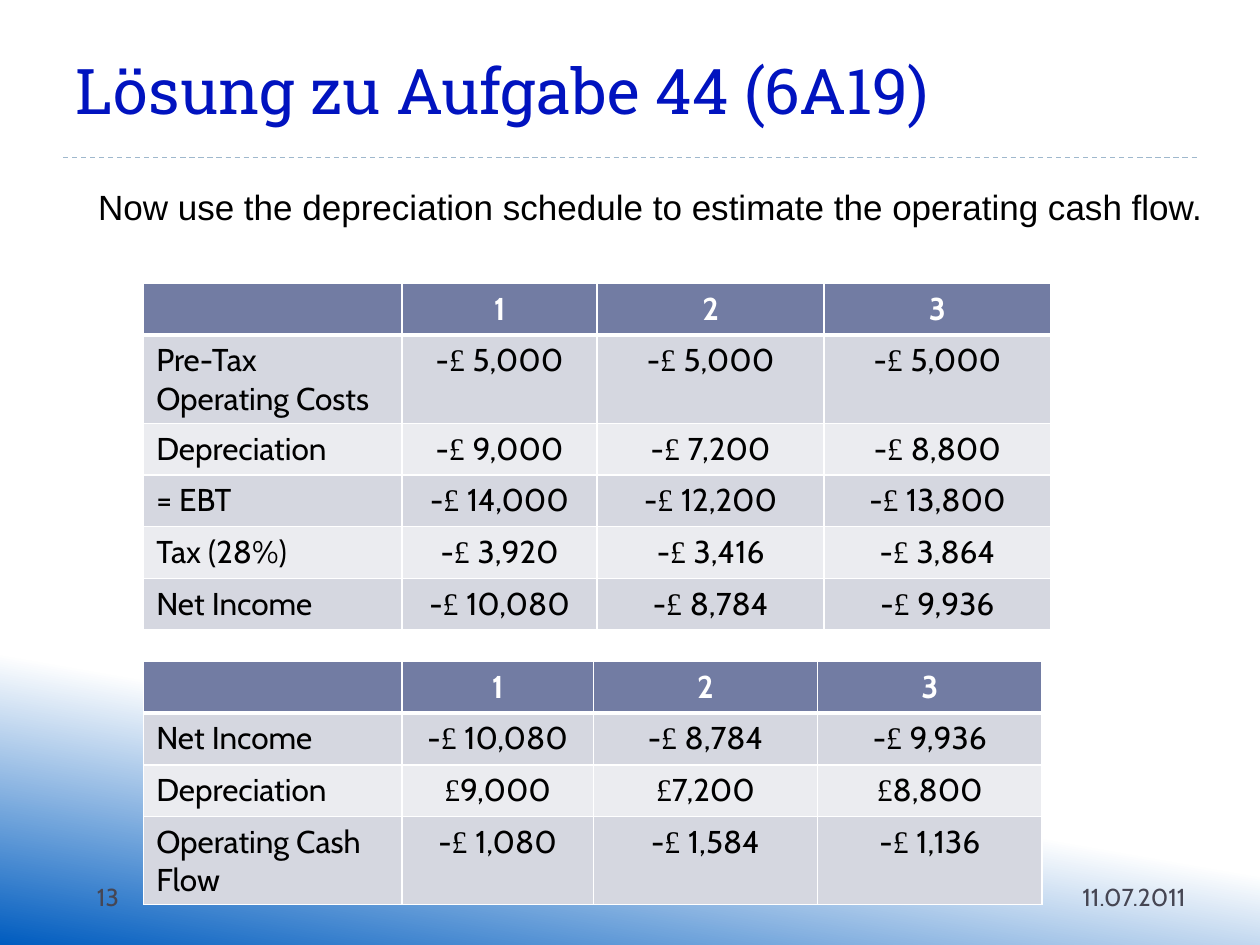
from dataclasses import dataclass

from lxml.etree import SubElement
from pptx import Presentation
from pptx.dml.color import RGBColor
from pptx.enum.dml import MSO_LINE
from pptx.enum.shapes import MSO_CONNECTOR
from pptx.enum.text import MSO_ANCHOR, MSO_AUTO_SIZE, PP_ALIGN
from pptx.oxml.ns import qn
from pptx.util import Inches, Pt


@dataclass(frozen=True)
class Theme:
    title: str = "0113BF"
    ink: str = "000000"
    muted: str = "464653"
    white: str = "FFFFFF"
    glow: str = "005CBF"
    rule: str = "9FB8CD"
    header: str = "727CA3"
    bands: tuple = ("D5D7E0", "EBECF0")
    title_font: str = "Roboto Slab"
    body_font: str = "Cabin"
    lead_font: str = "Arial"
    pound_font: str = "Times New Roman"
    title_size: int = 36
    lead_size: int = 20
    table_size: int = 18
    footer_size: int = 14


class SlideBuilder:
    """Draws styled elements on one slide."""

    def __init__(self, slide, theme):
        self.slide = slide
        self.theme = theme

    def style(self, font, name, size, color, bold=False):
        font.name, font.size, font.bold = name, Pt(size), bold
        font.color.rgb = RGBColor.from_string(color)

    def background(self):
        fill = self.slide.background.fill
        fill.gradient()
        fill.gradient_angle = 260
        stops = ((0.75, self.theme.white), (1, self.theme.glow))
        for stop, (position, color) in zip(fill.gradient_stops, stops):
            stop.position = position
            stop.color.rgb = RGBColor.from_string(color)

    def rule(self, left, right, top):
        line = self.slide.shapes.add_connector(
            MSO_CONNECTOR.STRAIGHT, Inches(left), Inches(top), Inches(right), Inches(top))
        line.line.color.rgb = RGBColor.from_string(self.theme.rule)
        line.line.width = Pt(0.75)
        line.line.dash_style = MSO_LINE.DASH
        SubElement(line._element.spPr, qn("a:effectLst"))

    def title(self, text, left, top, width, height):
        title = self.slide.shapes.title
        title.left, title.top = Inches(left), Inches(top)
        title.width, title.height = Inches(width), Inches(height)
        title.text_frame.text = text
        title.text_frame.vertical_anchor = MSO_ANCHOR.MIDDLE
        paragraph = title.text_frame.paragraphs[0]
        paragraph.alignment = PP_ALIGN.LEFT
        self.style(paragraph.font, self.theme.title_font, self.theme.title_size, self.theme.title)

    def text(self, text, left, top, width, height, font, size, color,
             align=PP_ALIGN.LEFT, wrap=True):
        box = self.slide.shapes.add_textbox(
            Inches(left), Inches(top), Inches(width), Inches(height))
        frame = box.text_frame
        frame.text = text
        frame.word_wrap = wrap
        if not wrap:
            frame.auto_size = MSO_AUTO_SIZE.SHAPE_TO_FIT_TEXT
            frame.vertical_anchor = MSO_ANCHOR.MIDDLE
        paragraph = frame.paragraphs[0]
        paragraph.alignment = align
        self.style(paragraph.font, font, size, color)

    def footer(self, text, left, width, align):
        self.text(text, left, 6.95, width, 0.4, self.theme.body_font,
                  self.theme.footer_size, self.theme.muted, align)

    def borders(self, cell, bottom):
        properties = cell._tc.get_or_add_tcPr()
        widths = {"a:lnL": 1, "a:lnR": 1, "a:lnT": 1, "a:lnB": bottom}
        for index, (tag, width) in enumerate(widths.items()):
            line = properties.makeelement(qn(tag), {"w": str(Pt(width))})
            properties.insert(index, line)
            solid = SubElement(line, qn("a:solidFill"))
            SubElement(solid, qn("a:srgbClr"), val=self.theme.white)

    def amount(self, paragraph, text):
        sign, pound, number = text.partition("£")
        digits = number.lstrip()
        pound += number[:len(number) - len(digits)]
        parts = ((sign, self.theme.body_font), (pound, self.theme.pound_font),
                 (digits, self.theme.body_font))
        for part, font in parts:
            if part:
                run = paragraph.add_run()
                run.text = part
                run.font.name = font

    def cell(self, cell, text, row, column):
        theme = self.theme
        is_header = row == 0
        fill = theme.header if is_header else theme.bands[(row - 1) % 2]
        cell.fill.solid()
        cell.fill.fore_color.rgb = RGBColor.from_string(fill)
        self.borders(cell, 3 if is_header else 1)
        paragraph = cell.text_frame.paragraphs[0]
        paragraph.alignment = PP_ALIGN.CENTER if column else PP_ALIGN.LEFT
        self.style(paragraph.font, theme.body_font, theme.table_size,
                   theme.white if is_header else theme.ink, is_header)
        if "£" in text:
            self.amount(paragraph, text)
        elif text:
            paragraph.add_run().text = text

    def table(self, rows, left, top, widths, row_height=0.41):
        table = self.slide.shapes.add_table(
            len(rows), len(widths), Inches(left), Inches(top),
            Inches(sum(widths)), Inches(row_height * len(rows))).table
        for column, width in zip(table.columns, widths):
            column.width = Inches(width)
        for row_index, values in enumerate(rows):
            table.rows[row_index].height = Inches(row_height)
            for column_index, value in enumerate(values):
                self.cell(table.cell(row_index, column_index), value, row_index, column_index)


YEARS = ("", "1", "2", "3")
NET_INCOME = ("Net Income", "-£ 10,080", "-£ 8,784", "-£ 9,936")
INCOME_ROWS = (
    YEARS,
    ("Pre-Tax Operating Costs", "-£ 5,000", "-£ 5,000", "-£ 5,000"),
    ("Depreciation", "-£ 9,000", "-£ 7,200", "-£ 8,800"),
    ("= EBT", "-£ 14,000", "-£ 12,200", "-£ 13,800"),
    ("Tax (28%)", "-£ 3,920", "-£ 3,416", "-£ 3,864"),
    NET_INCOME,
)
CASH_FLOW_ROWS = (
    YEARS,
    NET_INCOME,
    ("Depreciation", "£9,000", "£7,200", "£8,800"),
    ("Operating Cash Flow", "-£ 1,080", "-£ 1,584", "-£ 1,136"),
)

presentation = Presentation()
presentation.slide_width, presentation.slide_height = Inches(10), Inches(7.5)
theme = Theme()
builder = SlideBuilder(presentation.slides.add_slide(presentation.slide_layouts[5]), theme)
builder.background()
builder.rule(0.5, 9.5, 1.25)
builder.title("Lösung zu Aufgabe 44 (6A19)", 0.5, 0.17, 7.49, 1.08)
builder.footer("11.07.2011", 8.31, 1.2, PP_ALIGN.RIGHT)
builder.footer("13", 0.67, 0.79, PP_ALIGN.LEFT)
builder.table(INCOME_ROWS, 1.14, 2.25, (2.05, 1.55, 1.8, 1.8))
builder.table(CASH_FLOW_ROWS, 1.14, 5.25, (2.05, 1.52, 1.78, 1.78))
builder.text("Now use the depreciation schedule to estimate the operating cash flow.",
             0.68, 1.42, 9.03, 0.44, theme.lead_font, theme.lead_size, theme.ink,
             PP_ALIGN.JUSTIFY, wrap=False)
presentation.save("out.pptx")
